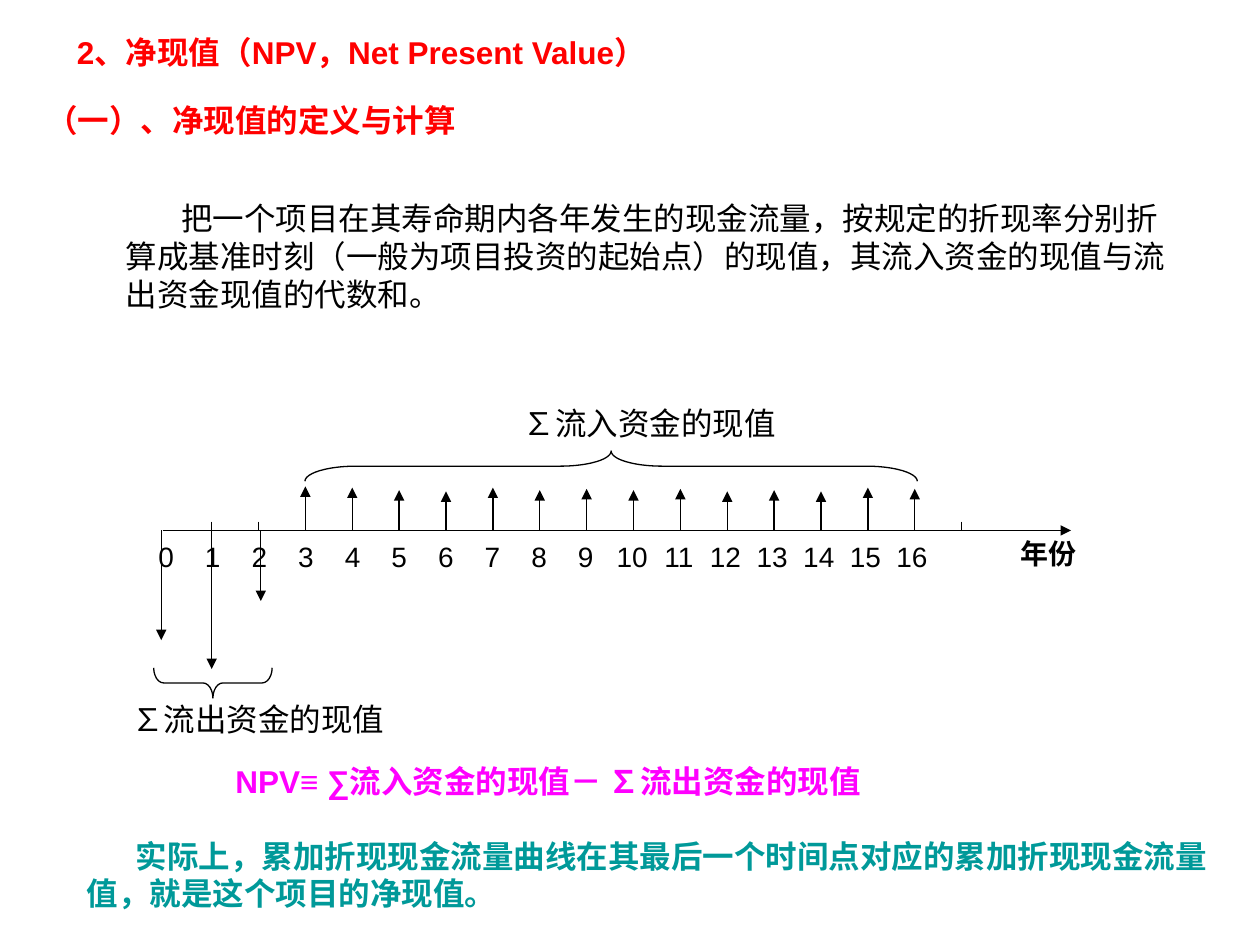
from dataclasses import dataclass

from lxml import etree
from pptx import Presentation
from pptx.dml.color import RGBColor
from pptx.enum.shapes import MSO_CONNECTOR, MSO_SHAPE
from pptx.enum.text import MSO_ANCHOR, MSO_AUTO_SIZE, PP_ALIGN
from pptx.oxml.ns import qn
from pptx.util import Inches, Pt

STRAIGHT = MSO_CONNECTOR.STRAIGHT
BRACE = MSO_SHAPE.LEFT_BRACE
TOP = MSO_ANCHOR.TOP
NO_AUTOFIT = MSO_AUTO_SIZE.NONE
LEFT = PP_ALIGN.LEFT


@dataclass(frozen=True)
class Theme:
    heading: RGBColor = RGBColor(0xFF, 0x00, 0x00)
    ink: RGBColor = RGBColor(0x00, 0x00, 0x00)
    formula: RGBColor = RGBColor(0xFF, 0x00, 0xFF)
    remark: RGBColor = RGBColor(0x00, 0x99, 0x99)
    font: str = "Arial"
    text_size: Pt = Pt(18)
    axis_size: Pt = Pt(16)
    line_width: Pt = Pt(0.75)


theme = Theme()

prs = Presentation()
prs.slide_width, prs.slide_height = Inches(10), Inches(7.5)
slide = prs.slides.add_slide(prs.slide_layouts[5])
shapes = slide.shapes


def write(box, at, text, color, bold=False, size=theme.text_size, indent=0, tabs=()):
    """Place a text holder and fill it with one paragraph; tabs are centred stops."""
    box.left, box.top, box.width, box.height = (Inches(v) for v in at)
    frame = box.text_frame
    frame.word_wrap = True
    frame.auto_size = NO_AUTOFIT
    frame.vertical_anchor = TOP
    paragraph = frame.paragraphs[0]
    paragraph.alignment = LEFT
    properties = paragraph._p.get_or_add_pPr()
    if indent:
        properties.set("marL", "0")
        properties.set("indent", str(Inches(indent)))
    if tabs:
        stops = etree.SubElement(properties, qn("a:tabLst"))
        for stop in tabs:
            etree.SubElement(stops, qn("a:tab"), pos=str(Inches(stop)), algn="ctr")
    run = paragraph.add_run()
    run.text = text
    run.font.name = theme.font
    run.font.size = size
    run.font.bold = bold
    run.font.color.rgb = color


def draw_line(x1, y1, x2, y2, arrow=False):
    line = shapes.add_connector(STRAIGHT, Inches(x1), Inches(y1), Inches(x2), Inches(y2))
    line.line.color.rgb = theme.ink
    line.line.width = theme.line_width
    if arrow:
        etree.SubElement(line.line._get_or_add_ln(), qn("a:tailEnd"), type="triangle")
    etree.SubElement(line._element.spPr, qn("a:effectLst"))


# Headings and definition
write(shapes.title, (0.51, 0.21, 8.51, 0.4),
      "2、净现值（NPV，Net Present Value）", theme.heading, bold=True)

passages = [
    ((0.27, 0.75, 7.72, 0.4), "（一）、净现值的定义与计算", theme.heading, True, 0),
    ((0.9, 1.53, 8.51, 1),
     "把一个项目在其寿命期内各年发生的现金流量，按规定的折现率分别折算成基准时刻"
     "（一般为项目投资的起始点）的现值，其流入资金的现值与流出资金现值的代数和。",
     theme.ink, False, 0.44),
    ((4.06, 3.16, 2.36, 0.4), "∑流入资金的现值", theme.ink, False, 0),
    ((0.95, 5.51, 2.36, 0.4), "∑流出资金的现值", theme.ink, False, 0),
    ((1.77, 6, 6.54, 0.4), "NPV≡ ∑流入资金的现值－ ∑流出资金的现值",
     theme.formula, True, 0),
    ((0.59, 6.59, 9.14, 0.7),
     "实际上，累加折现现金流量曲线在其最后一个时间点对应的累加折现现金流量值，"
     "就是这个项目的净现值。", theme.remark, True, 0.39),
]
for at, text, color, bold, indent in passages:
    write(shapes.add_textbox(0, 0, 0, 0), at, text, color, bold, indent=indent)

# Time axis with a tick for each year
axis_y = 4.21
first_tick, tick_gap = 1.68, 0.372
draw_line(1.29, axis_y, 8.5, axis_y, arrow=True)
for year in range(1, 18):
    x = first_tick + (year - 1) * tick_gap
    draw_line(x, axis_y - 0.07, x, axis_y)

last_year, label_gap = 16, 0.37
write(shapes.add_textbox(0, 0, 0, 0), (1.16, 4.23, 7.17, 0.4),
      "\t".join(str(year) for year in range(last_year + 1)), theme.ink,
      size=theme.axis_size,
      tabs=[0.06 + label_gap * year for year in range(1, last_year + 1)])
write(shapes.add_textbox(0, 0, 0, 0), (8, 4.21, 0.78, 0.37), "年份", theme.ink,
      bold=True, size=theme.axis_size)

# Cash flows: outflows in years 0 to 2, inflows from year 3
for x, tip in [(1.28, 5.08), (1.68, 5.31), (2.07, 4.77)]:
    draw_line(x, axis_y, x, tip, arrow=True)

inflow_tips = [3.86, 3.87, 3.89, 3.9, 3.87, 3.89, 3.88,
               3.89, 3.88, 3.9, 3.89, 3.9, 3.87, 3.88]
for year, tip in enumerate(inflow_tips, start=3):
    x = first_tick + (year - 1) * tick_gap
    draw_line(x, axis_y, x, tip, arrow=True)

# Braces over the inflows and under the outflows
for left, top, length, rotation, curve in [(4.73, 1.27, 4.86, 90, 1.69),
                                           (1.57, 4.95, 0.94, 270, 0.33)]:
    brace = shapes.add_shape(BRACE, Inches(left), Inches(top), Inches(0.24), Inches(length))
    brace.rotation = rotation
    brace.adjustments[0] = curve
    brace.shadow.inherit = False
    brace.fill.background()
    brace.line.color.rgb = theme.ink
    brace.line.width = theme.line_width

prs.save("out.pptx")
